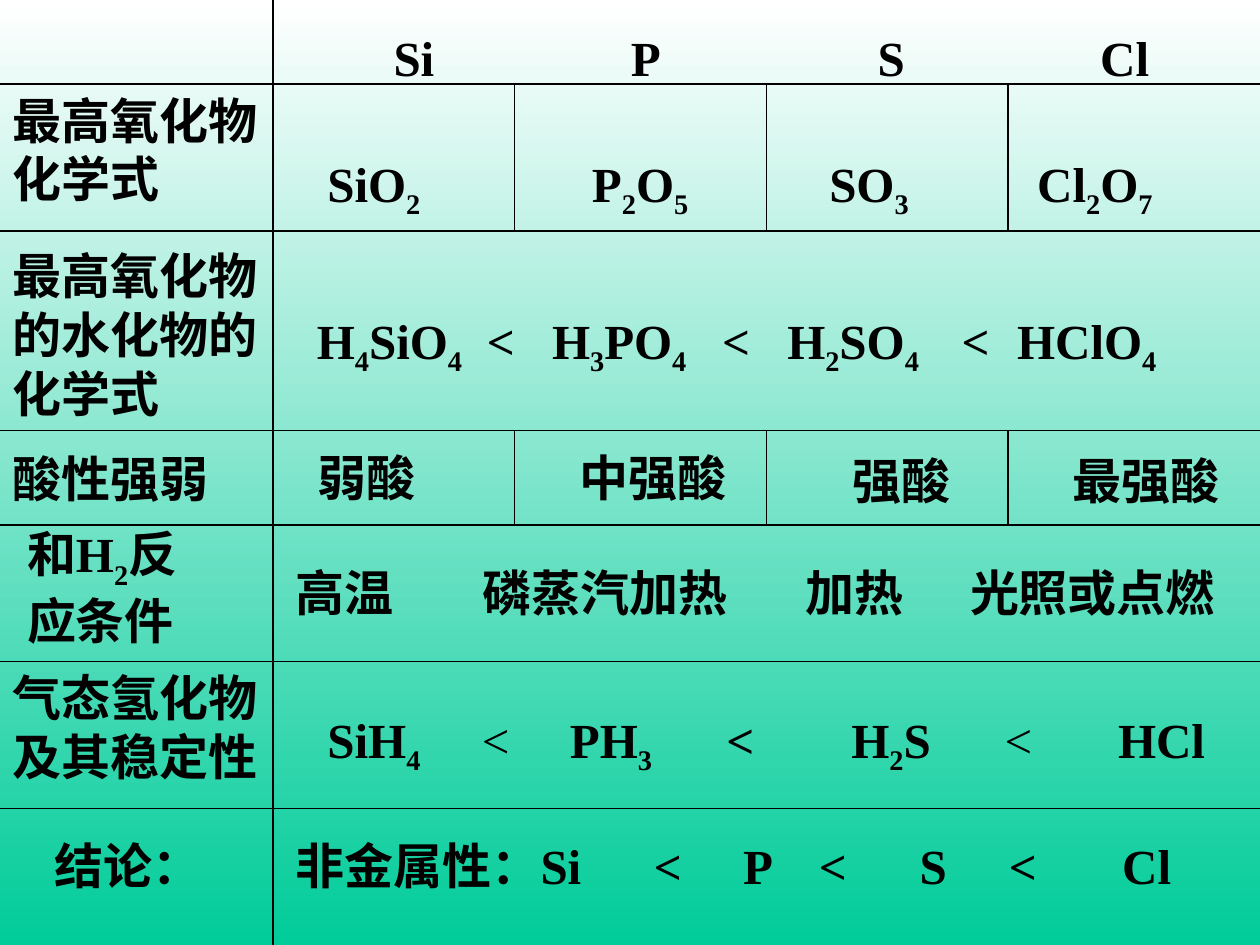
import itertools

import pptx
import pptx.dml.color
import pptx.enum.shapes
import pptx.enum.text
import pptx.oxml.ns
import pptx.util
from lxml import etree

BLACK = pptx.dml.color.RGBColor(0x00, 0x00, 0x00)
WHITE = pptx.dml.color.RGBColor(0xFF, 0xFF, 0xFF)
GREEN = pptx.dml.color.RGBColor(0x00, 0xCC, 0x99)
COLUMNS, ROWS = 120, 90
INSET = 1.2  # text inset in columns
TEXT_FORMAT = {"name": "Times New Roman", "size": pptx.util.Pt(28), "bold": True}
qn = pptx.oxml.ns.qn

deck = pptx.Presentation()
deck.slide_width, deck.slide_height = pptx.util.Inches(10), pptx.util.Inches(7.5)
slide = deck.slides.add_slide(deck.slide_layouts[6])
unit = deck.slide_width / COLUMNS  # grid cells are square


def grid(*cells):
    return [round(cell * unit) for cell in cells]


# Background: white at the top to green at the bottom
background = slide.background.fill
background.gradient()
background.gradient_angle = 270
for stop, color, position in zip(background.gradient_stops, (WHITE, GREEN), (0, 1)):
    stop.color.rgb = color
    stop.position = position

# Entries: left, top, width, height, text, tab stops (slide columns).
# Digits are subscripts; "~" is a "<" in regular weight.
entries = [
    (34, 2, 83, 6.9, "\tSi\tP\tS\tCl", (37.5, 60.1, 83.6, 104.8)),
    (0, 8, 27, 12.5, "最高氧化物化学式", ()),
    (30, 14, 90, 7.5, "SiO2\tP2O5\tSO3\tCl2O7", (56.4, 79, 98.8)),
    (0, 22.8, 30, 18, "最高氧化物的水化物的化学式", ()),
    (29, 29, 91, 7.5, "H4SiO4\t<\tH3PO4\t<\tH2SO4\t<\tHClO4",
     (46.4, 52.6, 68.8, 75, 91.6, 96.9)),
    (0, 42.1, 25, 6.9, "酸性强弱", ()),
    (28, 42, 18, 6.9, "\t弱酸", (30.3,)),
    (53, 42, 19, 6.9, "\t中强酸", (55.2,)),
    (80, 42.3, 12, 6.9, "强酸", ()),
    (101, 42.3, 18, 6.9, "最强酸", ()),
    (1.4, 49.3, 21, 13.2, "和H2反应条件", ()),
    (27, 53, 93, 6.9, "高温\t磷蒸汽加热\t加热\t光照或点燃", (46, 76.7, 92.4)),
    (0, 63, 28, 12.5, "气态氢化物及其稳定性", ()),
    (30, 67, 87, 7.5, "SiH4\t~\tPH3\t<\tH2S\t~\tHCl",
     (45.9, 54.3, 69.2, 81.1, 95.7, 106.5)),
    (4, 79, 19, 6.9, "结论：", ()),
    (27, 79, 89, 6.9, "非金属性：Si\t<\tP\t<\tS\t<\tCl",
     (62.3, 70.8, 78, 87.6, 96.1, 106.9)),
]
for left, top, width, height, text, stops in entries:
    frame = slide.shapes.add_textbox(*grid(left, top, width, height)).text_frame
    frame.word_wrap = True
    frame.auto_size = pptx.enum.text.MSO_AUTO_SIZE.SHAPE_TO_FIT_TEXT
    paragraph = frame.paragraphs[0]
    if stops:
        tab_list = etree.SubElement(paragraph._p.get_or_add_pPr(), qn("a:tabLst"))
        for offset in grid(*(stop - left - INSET for stop in stops)):
            etree.SubElement(tab_list, qn("a:tab"), pos=str(offset), algn="l")
    for (subscript, regular), letters in itertools.groupby(
            text, key=lambda letter: (letter.isdigit(), letter == "~")):
        run = paragraph.add_run()
        run.text = "".join(letters).replace("~", "<")
        for key, value in TEXT_FORMAT.items():
            setattr(run.font, key, value)
        run.font.color.rgb = BLACK
        if regular:
            run.font.bold = False
        if subscript:
            run.font._element.set("baseline", "-25000")

# Rules: label column, full-width rows, and dividers in the two split rows
rules = [(26, 0, 26, ROWS)]
rules += [(0, row, COLUMNS, row) for row in (8, 22, 41, 50, 63, 77)]
rules += [(column, top, column, bottom)
          for top, bottom in ((8, 22), (41, 50)) for column in (49, 73, 96)]
for ends in rules:
    rule = slide.shapes.add_connector(
        pptx.enum.shapes.MSO_CONNECTOR.STRAIGHT, *grid(*ends))
    rule.line.color.rgb = BLACK
    rule.line.width = pptx.util.Pt(0.75)
    etree.SubElement(rule._element.spPr, qn("a:effectLst"))

deck.save("out.pptx")
